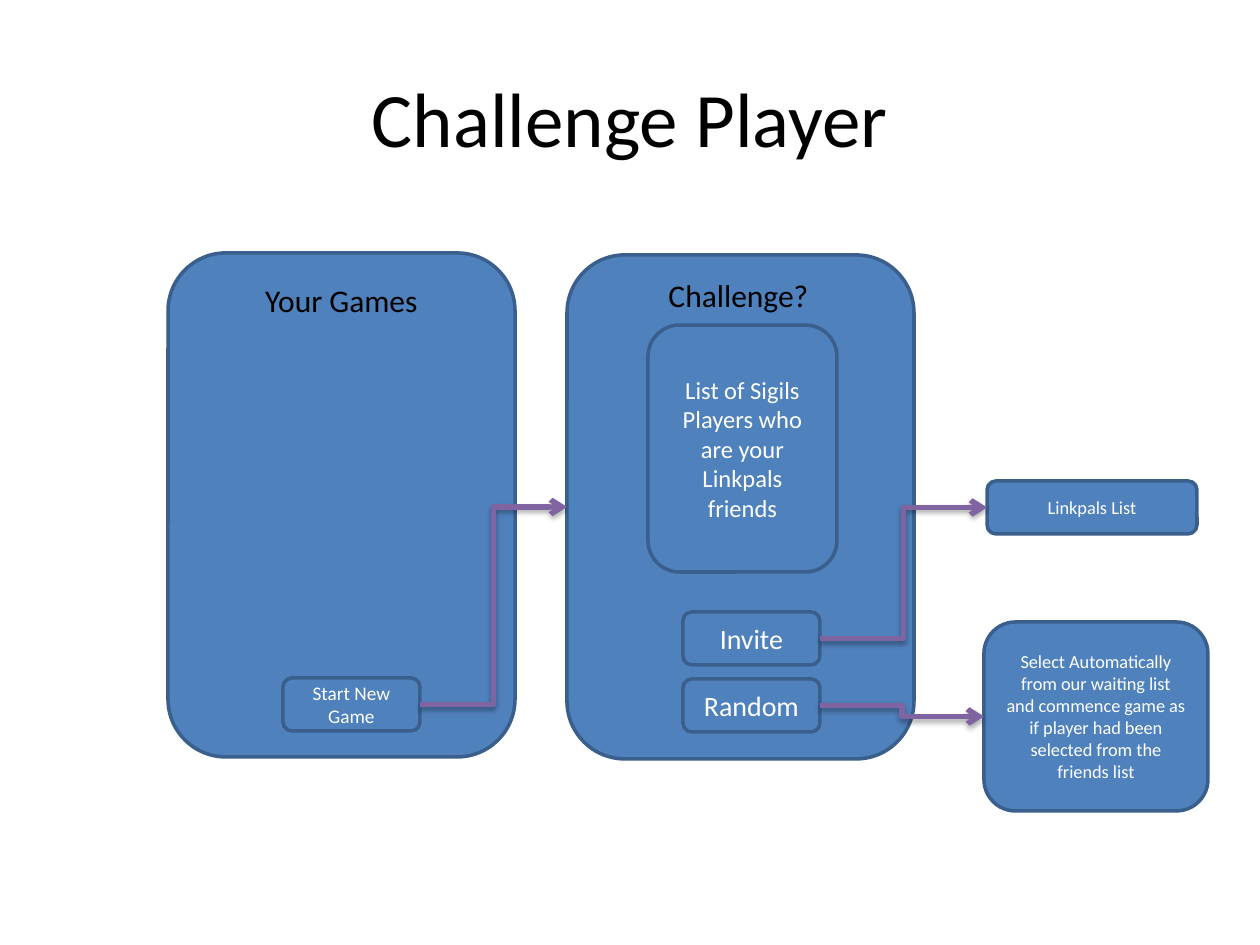
from dataclasses import dataclass

from lxml import etree
from pptx import Presentation
from pptx.dml.color import RGBColor
from pptx.enum.shapes import MSO_CONNECTOR, MSO_SHAPE
from pptx.enum.text import MSO_ANCHOR, PP_ALIGN
from pptx.oxml.ns import qn
from pptx.util import Emu, Pt

ROUNDED = MSO_SHAPE.ROUNDED_RECTANGLE
ELBOW = MSO_CONNECTOR.ELBOW
CENTER = PP_ALIGN.CENTER
MIDDLE = MSO_ANCHOR.MIDDLE
TOP = MSO_ANCHOR.TOP
LEFT_SITE, RIGHT_SITE = 1, 3
PX_PER_INCH = 126


@dataclass(frozen=True)
class Theme:
    """Colours, type sizes and line widths of the slide."""
    font: str = "Calibri"
    ink: str = "000000"
    light: str = "FFFFFF"
    fill: str = "4F81BD"
    outline: str = "3A5F8C"
    arrow: str = "8064A2"
    title: float = 44
    heading: float = 18
    button: float = 16
    body: float = 14
    small: float = 11
    note: float = 10.5
    outline_width: float = 2
    arrow_width: float = 3


THEME = Theme()


def px(length):
    """Turn pixels into EMU."""
    return Emu(round(length * 914400 / PX_PER_INCH))


def inside(box, left, top, width, height):
    """Return a box offset from the corner of another box."""
    return box[0] + left, box[1] + top, width, height


def write(shape, text, size, color, anchor):
    """Put one centred paragraph into a shape."""
    frame = shape.text_frame
    frame.text = text
    frame.word_wrap = True
    frame.vertical_anchor = anchor
    para = frame.paragraphs[0]
    para.alignment = CENTER
    font = para.runs[0].font
    font.name = THEME.font
    font.size = Pt(size)
    font.color.rgb = RGBColor.from_string(color)


def add_label(page, box, text, size, anchor=TOP):
    """Add dark text without a frame."""
    label = page.shapes.add_textbox(*map(px, box))
    write(label, text, size, THEME.ink, anchor)


def add_card(page, box, text="", size=THEME.body):
    """Add a rounded card with optional light text."""
    card = page.shapes.add_shape(ROUNDED, *map(px, box))
    card.shadow.inherit = False
    card.fill.solid()
    card.fill.fore_color.rgb = RGBColor.from_string(THEME.fill)
    card.line.color.rgb = RGBColor.from_string(THEME.outline)
    card.line.width = Pt(THEME.outline_width)
    if text:
        write(card, text, size, THEME.light, MIDDLE)
    return card


def add_arrow(page, source, target):
    """Join the right side of one card to the left side of another."""
    arrow = page.shapes.add_connector(ELBOW, 0, 0, 0, 0)
    arrow.begin_connect(source, RIGHT_SITE)
    arrow.end_connect(target, LEFT_SITE)
    arrow.line.color.rgb = RGBColor.from_string(THEME.arrow)
    arrow.line.width = Pt(THEME.arrow_width)
    etree.SubElement(arrow.line._get_or_add_ln(), qn("a:tailEnd"), type="arrow")
    effects = etree.SubElement(arrow._element.spPr, qn("a:effectLst"))
    shadow = etree.SubElement(effects, qn("a:outerShdw"), blurRad="40000",
                              dist="23000", dir="5400000", rotWithShape="0")
    color = etree.SubElement(shadow, qn("a:srgbClr"), val=THEME.ink)
    etree.SubElement(color, qn("a:alpha"), val="35000")


def add_games_panel(page, box):
    """Add the games screen and return its start button."""
    add_card(page, box)
    add_label(page, inside(box, 79, 22, 189, 50), "Your Games", THEME.heading)
    return add_card(page, inside(box, 115, 425, 137, 53), "Start New Game", THEME.small)


def add_challenge_panel(page, box):
    """Add the challenge screen and return it with its two buttons."""
    panel = add_card(page, box)
    add_label(page, inside(box, 77, 15, 189, 50), "Challenge?", THEME.heading)
    add_card(page, inside(box, 81, 70, 189, 247),
             "List of Sigils Players who are your Linkpals friends")
    buttons = [add_card(page, inside(box, 116, 357 + 67 * row, 137, 53), text, THEME.button)
               for row, text in enumerate(("Invite", "Random"))]
    return panel, buttons


def add_outcomes(page, box):
    """Add the two cards that the challenge buttons lead to."""
    invited = add_card(page, inside(box, 3, 0, 210, 53), "Linkpals List", THEME.note)
    matched = add_card(page, inside(box, 0, 141, 224, 189),
                       "Select Automatically from our waiting list and commence game "
                       "as if player had been selected from the friends list", THEME.note)
    return invited, matched


def main():
    """Build the slide and save it."""
    deck = Presentation()
    deck.slide_width, deck.slide_height = px(1260), px(945)
    page = deck.slides.add_slide(deck.slide_layouts[6])
    add_label(page, (63, 38, 1134, 157), "Challenge Player", THEME.title, MIDDLE)
    start = add_games_panel(page, (168, 253, 347, 504))
    challenge, buttons = add_challenge_panel(page, (567, 255, 347, 504))
    outcomes = add_outcomes(page, (984, 481, 224, 330))
    add_arrow(page, start, challenge)
    for button, outcome in zip(buttons, outcomes):
        add_arrow(page, button, outcome)
    deck.save("out.pptx")


if __name__ == "__main__":
    main()
